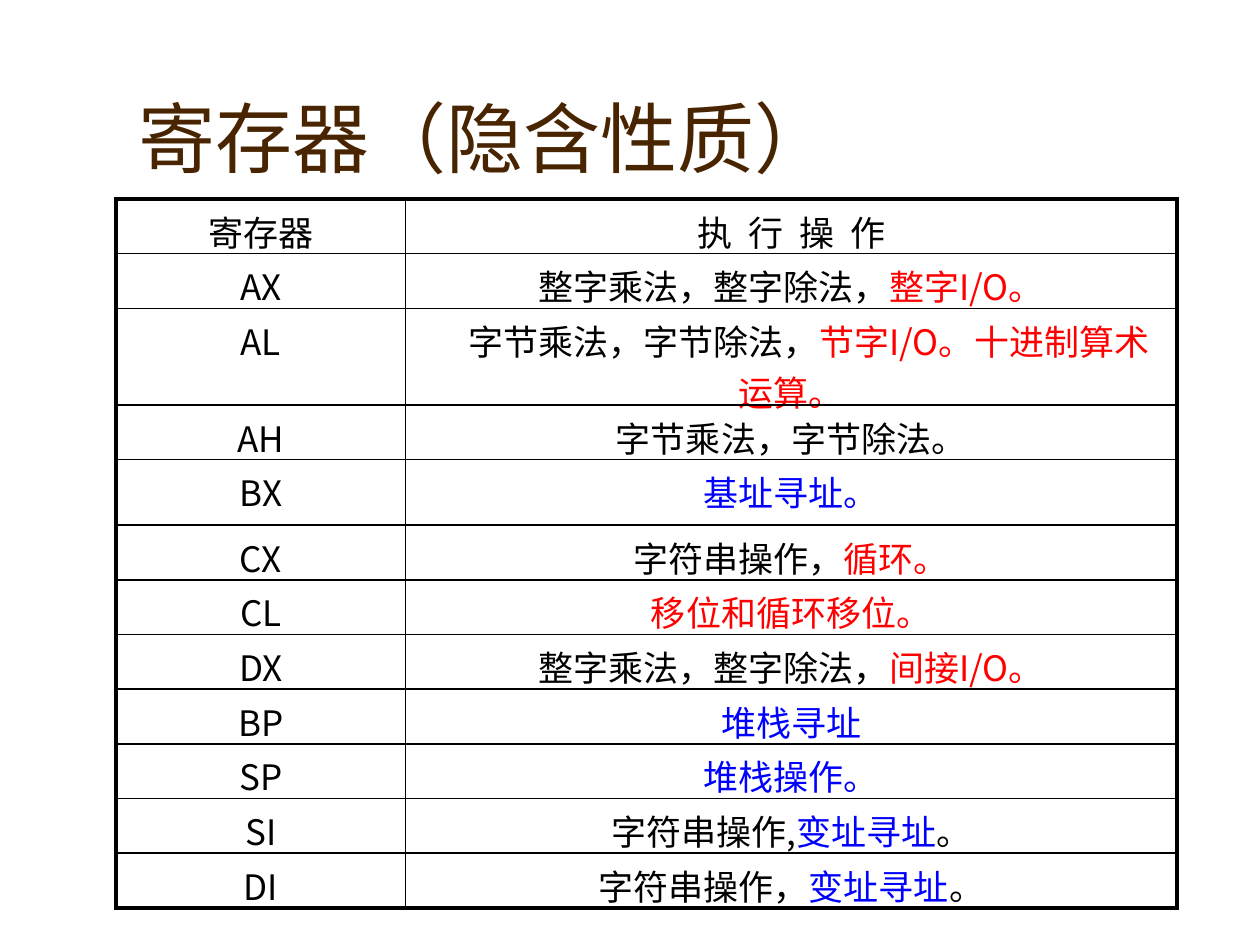
import pptx
import pptx.dml.color
import pptx.enum.text
import pptx.oxml
import pptx.oxml.ns
import pptx.util

Inches = pptx.util.Inches
theme = {
    "sans": "Noto Sans CJK SC", "serif": "Times New Roman",
    "title_size": 44, "body_size": 20, "thin": 1, "thick": 2.25,
    "title": "482400", "black": "000000", "red": "FF0000",
    "blue": "0000FF", "white": "FFFFFF",
}


def add_span(para, text, color, size, face):
    span = para.add_run()
    span.text = text
    formats = {"name": theme[face], "size": pptx.util.Pt(theme[size]), "bold": False}
    for name, value in formats.items():
        setattr(span.font, name, value)
    span.font.color.rgb = pptx.dml.color.RGBColor.from_string(theme[color])
    east_asian = pptx.oxml.parse_xml(
        f'<a:ea {pptx.oxml.ns.nsdecls("a")} typeface="{theme["sans"]}"/>')
    span.font._element.append(east_asian)
    return span


def add_border(cell, side, weight):
    width = pptx.util.Pt(theme[weight])
    cell._tc.get_or_add_tcPr().append(pptx.oxml.parse_xml(
        f'<a:{side} {pptx.oxml.ns.nsdecls("a")} w="{width}"><a:solidFill>'
        f'<a:srgbClr val="{theme["black"]}"/></a:solidFill></a:{side}>'))


deck = pptx.Presentation()
deck.slide_width, deck.slide_height = Inches(10), Inches(7.5)
page = deck.slides.add_slide(deck.slide_layouts[6])
page.background.fill.solid()
page.background.fill.fore_color.rgb = pptx.dml.color.RGBColor.from_string(theme["white"])

title_box = page.shapes.add_textbox(Inches(1), Inches(0.25), Inches(8.5), Inches(1.25))
title_box.text_frame.word_wrap = True
title_box.text_frame.vertical_anchor = pptx.enum.text.MSO_ANCHOR.BOTTOM
add_span(title_box.text_frame.paragraphs[0], "寄存器（隐含性质）", "title", "title_size", "serif")

registers = [
    ("寄存器", [("执 行 操 作", "black")]),
    ("AX", [("整字乘法，整字除法，", "black"), ("整字I/O。", "red")]),
    ("AL", [("字节乘法，字节除法，", "black"), ("节字I/O。十进制算术运算。", "red")]),
    ("AH", [("字节乘法，字节除法。", "black")]),
    ("BX", [("基址寻址。", "blue")]),
    ("CX", [("字符串操作，", "black"), ("循环。", "red")]),
    ("CL", [("移位和循环移位。", "red")]),
    ("DX", [("整字乘法，整字除法，", "black"), ("间接I/O。", "red")]),
    ("BP", [("堆栈寻址", "blue")]),
    ("SP", [("堆栈操作。", "blue")]),
    ("SI", [("字符串操作,", "black"), ("变址寻址", "blue"), ("。", "black")]),
    ("DI", [("字符串操作，", "black"), ("变址寻址", "blue"), ("。", "black")]),
]
last = len(registers) - 1
table = page.shapes.add_table(
    len(registers), 2, Inches(0.92), Inches(1.58), Inches(8.42), Inches(5.61)).table
table.first_row = table.horz_banding = False
for column, width in zip(table.columns, (2.3, 6.12)):
    column.width = Inches(width)

for row, (register, operations) in enumerate(registers):
    table.rows[row].height = Inches(0.52 if register == "BX" else 0.4)
    for column, spans in enumerate(([(register, "black")], operations)):
        cell = table.cell(row, column)
        outer_edges = {"lnL": column == 0, "lnR": column == 1,
                       "lnT": row == 0, "lnB": row == last}
        for side, outer in outer_edges.items():
            add_border(cell, side, "thick" if outer else "thin")
        cell.fill.background()
        para = cell.text_frame.paragraphs[0]
        para.alignment = pptx.enum.text.PP_ALIGN.CENTER
        for text, color in spans:
            span = add_span(para, text, color, "body_size", "sans")
            if row == 0 and column == 1:
                span.font._element.set("spc", "230")
            if register == "AL" and column == 1:
                para._p.get_or_add_pPr().set("indent", str(Inches(0.28)))

deck.save("out.pptx")
